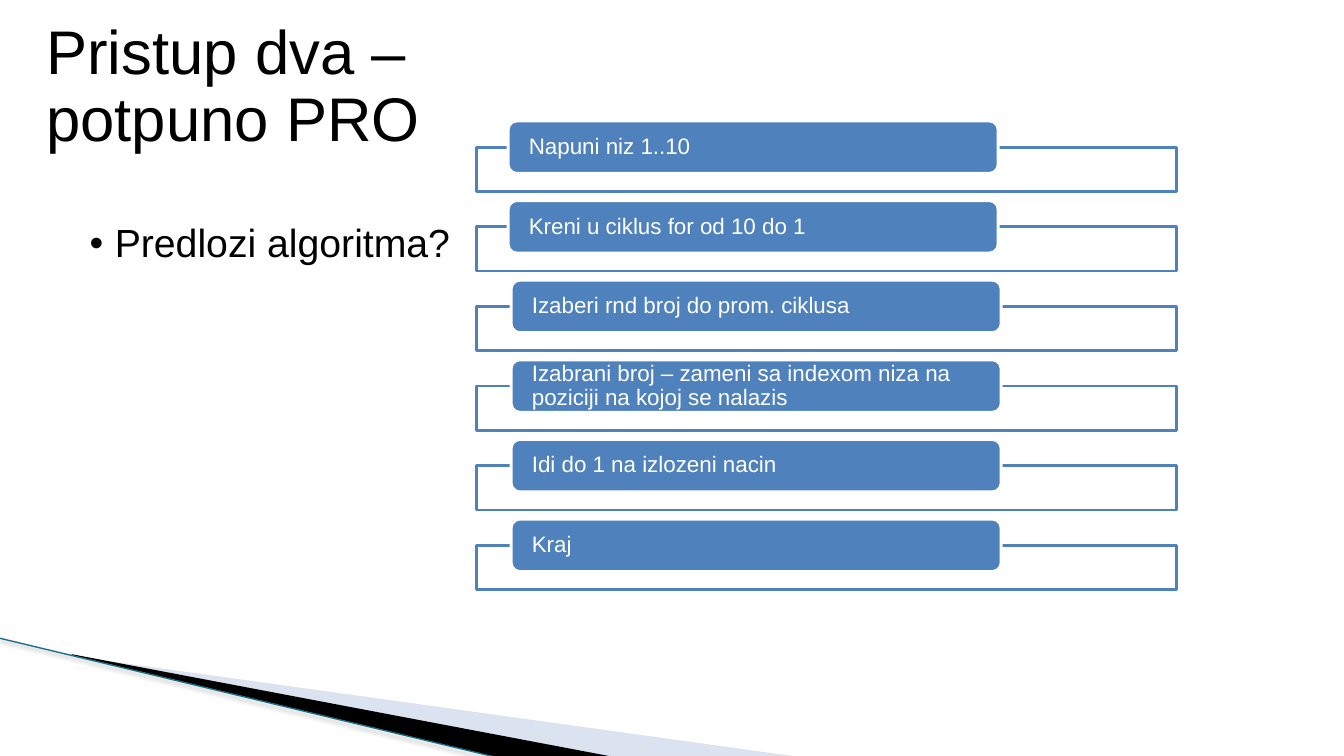
from lxml import etree
from pptx import Presentation
from pptx.dml.color import RGBColor
from pptx.enum.shapes import MSO_CONNECTOR, MSO_SHAPE
from pptx.enum.text import MSO_ANCHOR, MSO_AUTO_SIZE, PP_ALIGN
from pptx.oxml import parse_xml
from pptx.oxml.ns import qn
from pptx.util import Inches, Pt

RECT, ROUND_RECT = MSO_SHAPE.RECTANGLE, MSO_SHAPE.ROUNDED_RECTANGLE
STRAIGHT = MSO_CONNECTOR.STRAIGHT
TOP, MIDDLE = MSO_ANCHOR.TOP, MSO_ANCHOR.MIDDLE
LEFT = PP_ALIGN.LEFT
NO_FIT = MSO_AUTO_SIZE.NONE
TITLE_ONLY = 5

BLACK, WHITE, BLUE = "000000", "FFFFFF", "4F81BD"
PALE_BLUE, TEAL = "A7B9DB", "196F85"

LINE_SHADOW = (
    '<a:effectLst xmlns:a="http://schemas.openxmlformats.org/drawingml/2006/main">'
    '<a:outerShdw blurRad="39370" dist="20320" dir="5400000" rotWithShape="0">'
    '<a:srgbClr val="000000"><a:alpha val="38000"/></a:srgbClr>'
    '</a:outerShdw></a:effectLst>'
)

STEPS = [
    # text, left edge of its label
    ("Napuni niz 1..10", 5.04),
    ("Kreni u ciklus for od 10 do 1", 5.04),
    ("Izaberi rnd broj do prom. ciklusa", 5.07),
    ("Izabrani broj – zameni sa indexom niza na poziciji na kojoj se nalazis", 5.07),
    ("Idi do 1 na izlozeni nacin", 5.07),
    ("Kraj", 5.07),
]
FIRST_LABEL_TOP, STEP_PITCH = 1.2, 0.79


def rgb(value):
    return RGBColor.from_string(value)


class SlideBuilder:
    """Holds the text style and the current slide."""

    font = "Arial"
    line_spacing = 0.9

    def __init__(self, slide):
        self.slide = slide
        self.shapes = slide.shapes

    def set_text(self, sp, text, size, color, anchor, insets, bullet=None):
        tf = sp.text_frame
        side, edge = Inches(insets[0]), Inches(insets[1])
        frame = {
            "word_wrap": True, "auto_size": NO_FIT, "vertical_anchor": anchor,
            "margin_left": side, "margin_right": side,
            "margin_top": edge, "margin_bottom": edge,
        }
        for name, value in frame.items():
            setattr(tf, name, value)
        p = tf.paragraphs[0]
        p.alignment = LEFT
        p.line_spacing = self.line_spacing
        if bullet:
            pPr = p._p.get_or_add_pPr()
            pPr.set("marL", str(Inches(0.25)))
            pPr.set("indent", str(Inches(-0.25)))
            etree.SubElement(pPr, qn("a:buFont")).set("typeface", self.font)
            etree.SubElement(pPr, qn("a:buChar")).set("char", bullet)
        r = p.add_run()
        r.text = text
        for name, value in {"name": self.font, "size": Pt(size), "bold": False}.items():
            setattr(r.font, name, value)
        r.font.color.rgb = rgb(color)

    def paint(self, sp, fill, line=None, opacity=100):
        sp.shadow.inherit = False
        sp.fill.solid()
        sp.fill.fore_color.rgb = rgb(fill)
        if opacity < 100:
            clr = sp._element.spPr.find(qn("a:solidFill"))[0]
            etree.SubElement(clr, qn("a:alpha")).set("val", str(opacity * 1000))
        if line:
            sp.line.color.rgb = rgb(line)
            sp.line.width = Pt(2)
        else:
            sp.line.fill.background()

    def title(self, text, box):
        sp = self.shapes.title
        sp.left, sp.top, sp.width, sp.height = map(Inches, box)
        self.set_text(sp, text, 44, BLACK, MIDDLE, (0, 0))

    def bullet(self, text, box):
        sp = self.shapes.add_textbox(*map(Inches, box))
        self.set_text(sp, text, 28, BLACK, TOP, (0.1, 0.05), bullet="•")

    def shape(self, kind, box, fill, line, opacity=100):
        sp = self.shapes.add_shape(kind, *map(Inches, box))
        self.paint(sp, fill, line, opacity)
        return sp

    def wedge(self, points, fill, opacity=100):
        start, *rest = [(Inches(x), Inches(y)) for x, y in points]
        builder = self.shapes.build_freeform(*start)
        builder.add_line_segments(rest, close=True)
        self.paint(builder.convert_to_shape(), fill, opacity=opacity)

    def line(self, start, end, color, width):
        cx = self.shapes.add_connector(STRAIGHT, *map(Inches, start + end))
        cx.line.color.rgb = rgb(color)
        cx.line.width = Pt(width)
        cx._element.spPr.append(parse_xml(LINE_SHADOW))

    def step(self, text, left, top):
        self.shape(RECT, (4.73, top + 0.26, 6.94, 0.44), WHITE, BLUE, opacity=90)
        label = self.shape(ROUND_RECT, (left, top, 4.86, 0.52), BLUE, WHITE)
        self.set_text(label, text, 16, WHITE, MIDDLE, (0.18, 0))


def main():
    prs = Presentation()
    prs.slide_width, prs.slide_height = Inches(13.33), Inches(7.5)
    s = SlideBuilder(prs.slides.add_slide(prs.slide_layouts[TITLE_ONLY]))

    # Corner decoration
    s.wedge([(0.73, 6.51), (7.93, 7.51), (6.08, 7.51), (0.73, 6.5)], PALE_BLUE, opacity=40)
    s.wedge([(0.71, 6.49), (6.09, 7.51), (4.96, 7.52), (0.72, 6.5)], BLACK)
    s.line((-0.01, 6.33), (4.95, 7.52), TEAL, 0.96)

    # Title and question
    s.title("Pristup dva – potpuno PRO", (0.46, 0.25, 4.43, 1.25))
    s.bullet("Predlozi algoritma?", (0.79, 2.17, 9.89, 3.64))

    # Algorithm steps
    for i, (text, left) in enumerate(STEPS):
        s.step(text, left, FIRST_LABEL_TOP + i * STEP_PITCH)

    prs.save("out.pptx")


if __name__ == "__main__":
    main()
